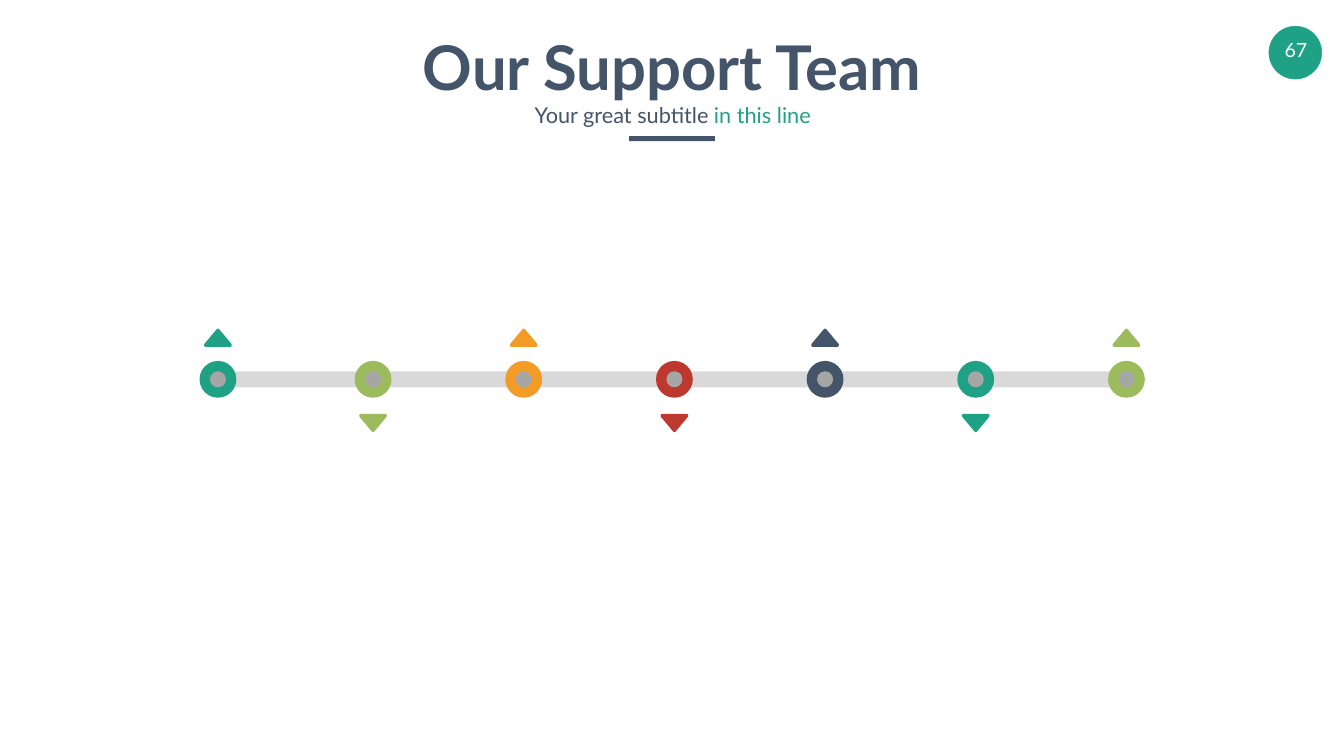
import dataclasses

import pptx
import pptx.dml.color
import pptx.enum.shapes
import pptx.enum.text
import pptx.util

Pt = pptx.util.Pt
KIND = pptx.enum.shapes.MSO_SHAPE


@dataclasses.dataclass(frozen=True)
class Theme:
    """Hold the colours, font and type sizes of the slide."""
    font: str = "Lato"
    teal: str = "1EA185"
    green: str = "9BBB5C"
    orange: str = "F29B26"
    red: str = "BD392F"
    navy: str = "445469"
    track: str = "D9D9D9"
    core: str = "A6A6A6"
    white: str = "FFFFFF"
    title: float = 88
    sub: float = 31
    page: float = 28


THEME = Theme()


def rgb(code):
    """Turn a hex code into a colour."""
    return pptx.dml.color.RGBColor.from_string(code)


def paint(shape, color):
    """Give a shape a flat fill with no line or shadow."""
    shape.shadow.inherit = False
    shape.fill.solid()
    shape.fill.fore_color.rgb = rgb(color)
    shape.line.fill.background()
    return shape


def add_shape(slide, kind, box, color):
    """Add a flat preset shape in a box."""
    return paint(slide.shapes.add_shape(kind, *map(Pt, box)), color)


def add_disc(slide, mid, size, color):
    """Add a circle around a middle point."""
    x, y = mid
    box = (x - size / 2, y - size / 2, size, size)
    return add_shape(slide, KIND.OVAL, box, color)


def add_text(slide, box, runs, size, pad, wrap=True, bold=False, space=1.0):
    """Add one centred paragraph of coloured runs."""
    frame = slide.shapes.add_textbox(*map(Pt, box)).text_frame
    side, edge = pad
    form = {"margin_left": Pt(side), "margin_right": Pt(side),
            "margin_top": Pt(edge), "margin_bottom": Pt(edge),
            "word_wrap": wrap}
    for name, value in form.items():
        setattr(frame, name, value)
    para = frame.paragraphs[0]
    para.alignment = pptx.enum.text.PP_ALIGN.CENTER
    para.line_spacing = space
    for text, color in runs:
        run = para.add_run()
        run.text = text
        style = {"name": THEME.font, "size": Pt(size), "bold": bold}
        for name, value in style.items():
            setattr(run.font, name, value)
        run.font.color.rgb = rgb(color)


def add_badge(slide, box):
    """Place the page number on its disc."""
    left, top, wide, high = box
    disc = add_shape(slide, KIND.OVAL, box, THEME.teal)
    disc.line.color.rgb = rgb(THEME.teal)
    disc.line.width = Pt(0.5)
    add_text(slide, (left + 7, top + 10, 63.4, 48.2), [("67", THEME.white)],
             THEME.page, (14.4, 7.2), wrap=False)


def add_head(slide, box):
    """Place the title, subtitle and rule."""
    left, top, wide, high = box
    mid = left + wide / 2
    add_text(slide, (left, top, wide, 113.8),
             [("Our Support Team", THEME.navy)],
             THEME.title, (7.2, 3.6), bold=True)
    add_shape(slide, KIND.RECTANGLE,
              (mid - 61.2, top + high - 7.2, 122.4, 7.2), THEME.navy)
    add_text(slide, (mid - 458, top + 90.7, 918, 66.2),
             [("Your great subtitle ", THEME.navy),
              ("in this line", THEME.teal)],
             THEME.sub, (17.3, 8.6), space=1.2)


def add_mark(slide, mid, color, sign):
    """Add a soft triangle that points up (1) or down (-1)."""
    x, y = mid
    half = [(0, -13.1), (1, -12.8), (1.8, -12.2), (18.9, 8.2), (19.5, 9.2),
            (19.7, 10.2), (19.5, 11.4), (18.9, 12.3), (18.2, 12.9),
            (17.2, 13.1)]
    ring = half + [(-dx, dy) for dx, dy in reversed(half[1:])]
    spots = [(Pt(x + dx), Pt(y + sign * dy)) for dx, dy in ring]
    pen = slide.shapes.build_freeform(*spots[0], scale=1.0)
    pen.add_line_segments(spots[1:], close=True)
    paint(pen.convert_to_shape(), color)


def add_line(slide, box):
    """Place the track, nodes and pointers of the timeline."""
    left, top, wide, high = box
    size, core, step = 52.6, 23, 215.2
    row = top + high / 2
    last = left + wide - size / 2
    mids = [left + size / 2] + [last - step * n for n in range(5, -1, -1)]
    tints = [THEME.teal, THEME.green, THEME.orange, THEME.red,
             THEME.navy, THEME.teal, THEME.green]
    for x in reversed(mids[:-1]):
        bar = add_shape(slide, KIND.ROUNDED_RECTANGLE,
                        (x - core / 2, row - core / 2, 237.6, core),
                        THEME.track)
        bar.adjustments[0] = 0.5
    for n, (x, color) in enumerate(zip(mids, tints)):
        add_disc(slide, (x, row), size, color)
        add_disc(slide, (x, row), core, THEME.core)
        sign = -1 if n % 2 else 1
        add_mark(slide, (x, row + 1.5 - 60.8 * sign), color, sign)


def main():
    """Build the slide and save it."""
    deck = pptx.Presentation()
    deck.slide_width, deck.slide_height = Pt(1919.52), Pt(1080)
    slide = deck.slides.add_slide(deck.slide_layouts[6])
    add_badge(slide, (1812.2, 37.4, 75.6, 75.6))
    add_line(slide, (285, 469.4, 1350.1, 145))
    add_head(slide, (473, 38.2, 973.4, 163.4))
    deck.save("out.pptx")


if __name__ == "__main__":
    main()
